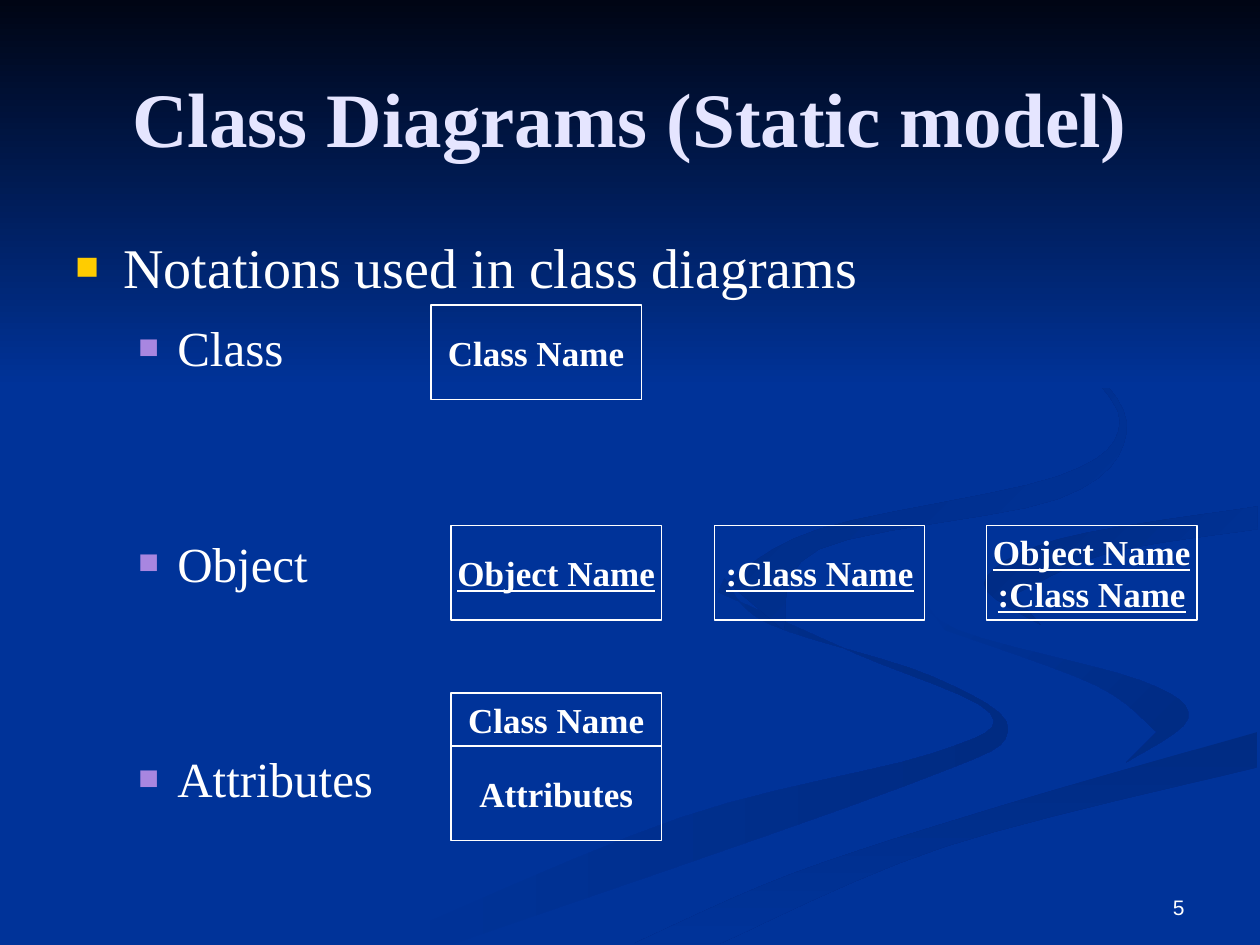
from pptx import Presentation
from pptx.dml.color import RGBColor
from pptx.enum.shapes import MSO_SHAPE
from pptx.enum.text import MSO_ANCHOR as Anchor, PP_ALIGN as Align
from pptx.oxml import parse_xml
from pptx.oxml.ns import nsdecls
from pptx.util import Inches, Pt

THEME = dict(
    serif="Times New Roman", sans="Arial",
    blue="003399", night="000514", shade="002B82",
    white="FFFFFF", title="E5E5FF", gold="FFCC00", violet="A886E0",
    title_size=44, topic_size=32, item_size=28, box_size=20, number_size=12,
)

# Content
TITLE = "Class Diagrams (Static model)"
PAGE_NUMBER = "5"
TOPIC = "Notations used in class diagrams"
ITEMS = ["Class", "Object", "Attributes"]
FIRST_GAP, ITEM_GAP = 10, 89.5

BOX_WIDTH, BOX_HEIGHT, HEADER_HEIGHT = 1.67, 0.75, 0.42
COLUMN, OBJECT_TOP, CLASS_TOP = 3.58, 4.17, 5.5
# lines, left, top, height, underlined
NOTATIONS = [
    (["Class Name"], 3.42, 2.42, BOX_HEIGHT, False),
    (["Object Name"], COLUMN, OBJECT_TOP, BOX_HEIGHT, True),
    ([":Class Name"], 5.67, OBJECT_TOP, BOX_HEIGHT, True),
    (["Object Name", ":Class Name"], 7.83, OBJECT_TOP, BOX_HEIGHT, True),
    (["Class Name"], COLUMN, CLASS_TOP, HEADER_HEIGHT, False),
    (["Attributes"], COLUMN, CLASS_TOP + HEADER_HEIGHT, BOX_HEIGHT, False),
]

# Background ribbons: start colour, end colour, clockwise angle, two curved edges
RIBBONS = [
    ("blue", "shade", 0,
     [(5.75, 4.59), (6.1, 4.95), (7.4, 5.37), (8, 5.8), (7.2, 6.23), (3.6, 7.49)],
     [(3, 7.49), (5.4, 6.49), (7.4, 5.98), (7.86, 5.66), (6.8, 5.19), (5.7, 4.7)]),
    ("blue", "shade", 45,
     [(7.24, 4.64), (7.6, 5), (9.05, 5.4), (9.43, 5.7), (8.94, 6.05)],
     [(9.18, 5.81), (8.7, 5.44), (7.5, 5)]),
    ("shade", "blue", 90,
     [(5.03, 7.49), (6.3, 6.93), (8, 6.38), (9.98, 5.81)],
     [(9.98, 6.09), (7.5, 6.72), (5.71, 7.49)]),
    ("shade", "blue", 45,
     [(8.26, 4.96), (7.81, 4.63), (8.4, 4.28), (9.98, 4.02)],
     [(9.98, 4.2), (8.8, 4.39), (8.05, 4.72)]),
    ("shade", "blue", 45,
     [(7.62, 2.33), (8.6, 2.88), (8.94, 3.44), (8.4, 3.96), (6.5, 4.36), (6.22, 5)],
     [(5.77, 4.62), (6.5, 4.2), (8.4, 3.78), (8.89, 3.35), (8.5, 2.8)]),
]
CURVE_STEPS = 6


def rgb(name):
    return RGBColor.from_string(THEME[name])


def smooth(knots):
    """Points of a Catmull-Rom curve through the knots."""
    padded = [knots[0], *knots, knots[-1]]
    for a, b, c, d in zip(padded, padded[1:], padded[2:], padded[3:]):
        for step in range(CURVE_STEPS):
            t = step / CURVE_STEPS
            yield tuple(
                q + t * (r - p + t * (2 * p - 5 * q + 4 * r - s
                                      + t * (3 * q - p - 3 * r + s))) / 2
                for p, q, r, s in zip(a, b, c, d))
    yield knots[-1]


def shade(shape, start, end, angle):
    shape.shadow.inherit = False
    shape.line.fill.background()
    shape.fill.gradient()
    shape.fill.gradient_angle = -angle % 360
    for stop, colour, position in zip(shape.fill.gradient_stops, (start, end), (0, 1)):
        stop.color.rgb = rgb(colour)
        stop.position = position


def draw_ribbon(slide, start, end, angle, *edges):
    outline = [(Inches(x), Inches(y)) for edge in edges for x, y in smooth(edge)]
    builder = slide.shapes.build_freeform(*outline[0])
    builder.add_line_segments(outline[1:], close=True)
    shade(builder.convert_to_shape(), start, end, angle)


def add_run(paragraph, text, size, colour="white", face="serif", bold=False, underline=False):
    run = paragraph.add_run()
    run.text = text
    font = run.font
    font.name, font.size = THEME[face], Pt(THEME[size])
    font.bold, font.underline = bold, underline
    font.color.rgb = rgb(colour)


def add_area(slide, left, top, width, height, anchor):
    frame = slide.shapes.add_textbox(*map(Inches, (left, top, width, height))).text_frame
    frame.word_wrap, frame.vertical_anchor = True, anchor
    return frame


def set_bullet(paragraph, colour, margin, hanging):
    props = paragraph._p.get_or_add_pPr()
    props.set("marL", str(Inches(margin)))
    props.set("indent", str(-Inches(hanging)))
    for tag in (f'<a:buClr {nsdecls("a")}><a:srgbClr val="{THEME[colour]}"/></a:buClr>',
                f'<a:buSzPct {nsdecls("a")} val="70000"/>',
                f'<a:buFont {nsdecls("a")} typeface="{THEME["serif"]}"/>',
                f'<a:buChar {nsdecls("a")} char="■"/>'):
        props.append(parse_xml(tag))


def draw_notation(slide, lines, left, top, height, underlined):
    box = slide.shapes.add_shape(
        MSO_SHAPE.RECTANGLE, *map(Inches, (left, top, BOX_WIDTH, height)))
    box.shadow.inherit = False
    box.fill.background()
    box.line.color.rgb, box.line.width = rgb("white"), Pt(0.75)
    frame = box.text_frame
    frame.word_wrap, frame.vertical_anchor = False, Anchor.MIDDLE
    for index, line in enumerate(lines):
        paragraph = frame.add_paragraph() if index else frame.paragraphs[0]
        paragraph.alignment = Align.CENTER
        add_run(paragraph, line, "box_size", bold=True, underline=underlined)


def main():
    deck = Presentation()
    deck.slide_width, deck.slide_height = Inches(10), Inches(7.5)
    slide = deck.slides.add_slide(deck.slide_layouts[6])

    # Background
    slide.background.fill.solid()
    slide.background.fill.fore_color.rgb = rgb("blue")
    for ribbon in RIBBONS:
        draw_ribbon(slide, *ribbon)
    sky = slide.shapes.add_shape(MSO_SHAPE.RECTANGLE, 0, 0, deck.slide_width, Inches(3.08))
    shade(sky, "night", "blue", 90)

    # Title
    heading = add_area(slide, 0.5, 0.3, 9, 1.25, Anchor.MIDDLE).paragraphs[0]
    heading.alignment = Align.CENTER
    add_run(heading, TITLE, "title_size", "title", bold=True)

    # Outline
    outline = add_area(slide, 0.5, 1.8, 9, 4.9, Anchor.TOP)
    topic = outline.paragraphs[0]
    set_bullet(topic, "gold", 0.38, 0.38)
    add_run(topic, TOPIC, "topic_size")
    for index, text in enumerate(ITEMS):
        item = outline.add_paragraph()
        item.space_before = Pt(ITEM_GAP if index else FIRST_GAP)
        set_bullet(item, "violet", 0.81, 0.31)
        add_run(item, text, "item_size")

    # Notation boxes
    for notation in NOTATIONS:
        draw_notation(slide, *notation)

    # Page number
    number = add_area(slide, 7.17, 6.83, 2.33, 0.52, Anchor.BOTTOM).paragraphs[0]
    number.alignment = Align.RIGHT
    add_run(number, PAGE_NUMBER, "number_size", face="sans")

    deck.save("out.pptx")


if __name__ == "__main__":
    main()
